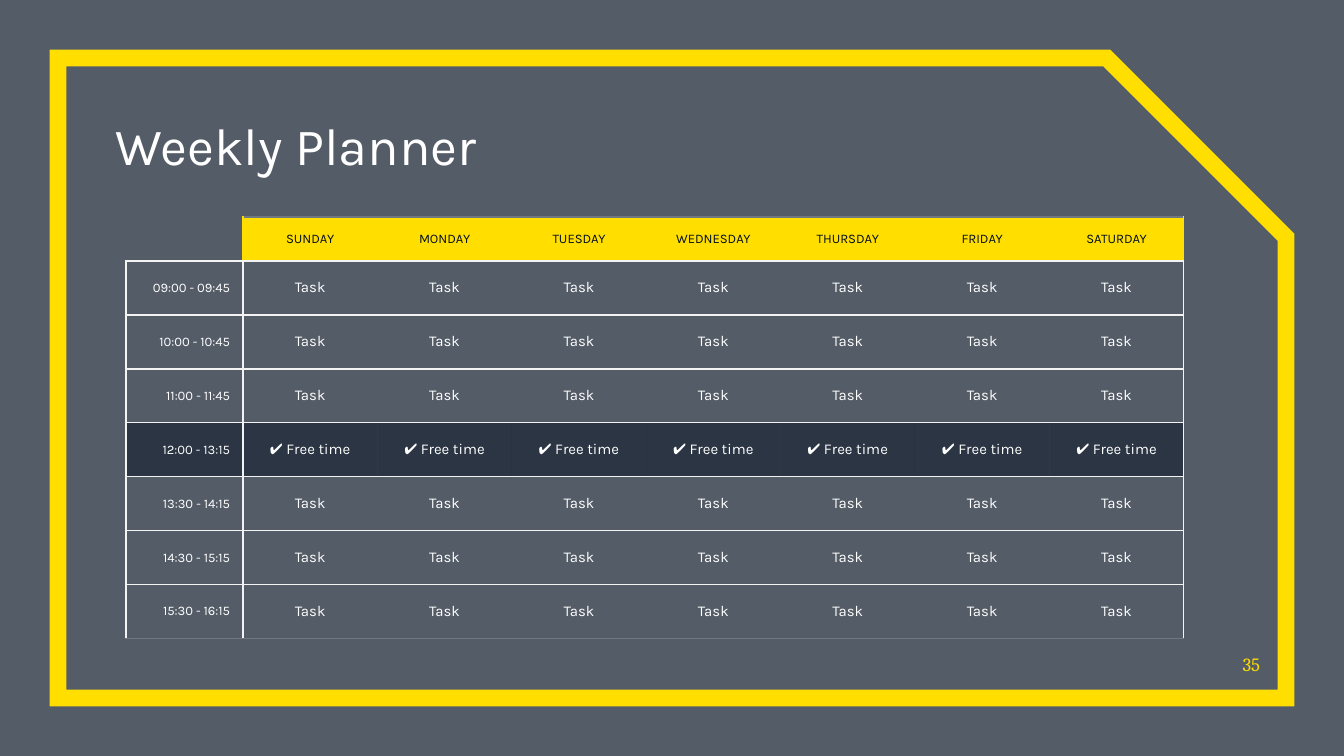
from dataclasses import dataclass

from lxml import etree
from pptx import Presentation
from pptx import util as u
from pptx.dml.color import RGBColor
from pptx.enum import shapes, text
from pptx.oxml import ns

# Content
TITLE = "Weekly Planner"
PAGE_NUMBER = "35"
DAYS = ["SUNDAY", "MONDAY", "TUESDAY", "WEDNESDAY", "THURSDAY", "FRIDAY", "SATURDAY"]
SCHEDULE = [
    ("09:00 - 09:45", "Task"),
    ("10:00 - 10:45", "Task"),
    ("11:00 - 11:45", "Task"),
    ("12:00 - 13:15", "✔ Free time"),
    ("13:30 - 14:15", "Task"),
    ("14:30 - 15:15", "Task"),
    ("15:30 - 16:15", "Task"),
]
BREAK_ROW = 4
NO_TABLE_STYLE = "{2D5ABB26-0587-4C30-8999-92F81FD0307C}"


@dataclass(frozen=True)
class Theme:
    navy: str = "040F20"
    yellow: str = "FFDE00"
    white: str = "FFFFFF"
    rule: str = "F3F3F3"
    edge: str = "717881"
    body_font: str = "Karla"
    number_font: str = "Cambria"
    title_size: int = 28
    number_size: int = 10
    task_size: int = 8
    label_size: int = 7


THEME = Theme()

# Layout, in px
PAGE_W, PAGE_H = 1344, 756
FRAME = (58, 58, 1228, 640)
TITLE_BOX = (116, 105, 988, 71)
NUMBER_BOX = (1224, 637, 36, 38)
TABLE_X, TABLE_Y, TABLE_W = 126, 217, 1058
TIME_W, HEADER_H, ROW_H = 117, 44, 54
CELL_MARGIN = 13


def px(length):
    return u.Emu(round(length * u.Inches(10) / PAGE_W))


def sub(parent, tag, **attributes):
    return etree.SubElement(parent, ns.qn(tag), attributes)


def fill_solid(target, color, alpha=None):
    target.fill.solid()
    target.fill.fore_color.rgb = RGBColor.from_string(color)
    if alpha is not None:
        for node in target._element.iter(ns.qn("a:srgbClr")) if hasattr(
                target, "_element") else target._tc.tcPr.findall(
                ns.qn("a:solidFill") + "/" + ns.qn("a:srgbClr")):
            sub(node, "a:alpha", val=str(alpha * 1000))


def write(frame, words, size, color, font=THEME.body_font, align=text.PP_ALIGN.LEFT):
    frame.text = words
    para = frame.paragraphs[0]
    para.alignment = align
    for span in para.runs:
        span.font.size = u.Pt(size)
        span.font.name = font
        span.font.color.rgb = RGBColor.from_string(color)
    return para


def add_text(page, place, *args, **kwargs):
    box = page.shapes.add_textbox(*map(px, place))
    frame = box.text_frame
    frame.word_wrap = True
    frame.vertical_anchor = text.MSO_ANCHOR.BOTTOM
    frame.margin_left = frame.margin_right = frame.margin_top = frame.margin_bottom = 0
    return write(frame, *args, **kwargs)


def add_text_shadow(span):
    properties = span.font._element
    effects = etree.Element(ns.qn("a:effectLst"))
    shadow = sub(effects, "a:outerShdw", blurRad="38100", dist="38100", dir="2700000")
    sub(sub(shadow, "a:srgbClr", val="000000"), "a:alpha", val="43000")
    properties.find(ns.qn("a:solidFill")).addnext(effects)


def set_borders(cell, borders):
    properties = cell._tc.get_or_add_tcPr()
    for side in "LRTB":
        line = sub(properties, f"a:ln{side}", w=str(u.Pt(0.75)))
        if side in borders:
            sub(sub(line, "a:solidFill"), "a:srgbClr", val=borders[side])
        else:
            sub(line, "a:noFill")


def cell_borders(row, col):
    last_row, last_col = len(SCHEDULE), len(DAYS)
    if row == 0:
        borders = {"B": THEME.rule}
        if col > 0:
            borders["T"] = THEME.edge
        if col == 1:
            borders["L"] = THEME.yellow
        if col in (0, last_col):
            borders["R"] = THEME.yellow
        return borders
    borders = {"T": THEME.rule, "B": THEME.edge if row == last_row else THEME.rule}
    if col <= 1:
        borders["L"] = THEME.rule
    if col in (0, last_col):
        borders["R"] = THEME.rule
    return borders


def add_planner(page):
    rows = [[""] + DAYS] + [[time] + [task] * len(DAYS) for time, task in SCHEDULE]
    height = HEADER_H + ROW_H * len(SCHEDULE)
    holder = page.shapes.add_table(len(rows), len(rows[0]),
                                   *map(px, (TABLE_X, TABLE_Y, TABLE_W, height)))
    table = holder.table
    table.first_row = table.horz_banding = False
    table._tbl.tblPr.find(ns.qn("a:tableStyleId")).text = NO_TABLE_STYLE

    day_w = (TABLE_W - TIME_W) / len(DAYS)
    for col, column in enumerate(table.columns):
        column.width = px(day_w if col else TIME_W)
    for row, line in enumerate(table.rows):
        line.height = px(ROW_H if row else HEADER_H)

    for row, words in enumerate(rows):
        for col, word in enumerate(words):
            cell = table.cell(row, col)
            cell.vertical_anchor = text.MSO_ANCHOR.MIDDLE
            cell.margin_left = cell.margin_right = px(CELL_MARGIN)
            cell.margin_top = cell.margin_bottom = px(CELL_MARGIN)
            set_borders(cell, cell_borders(row, col))
            if row == 0 and col > 0:
                fill_solid(cell, THEME.yellow)
            elif row == BREAK_ROW:
                fill_solid(cell, THEME.navy, 50)
            else:
                cell.fill.background()
            size = THEME.task_size if row and col else THEME.label_size
            para = write(cell.text_frame, word, size,
                         THEME.white if row else THEME.navy,
                         align=text.PP_ALIGN.CENTER if col else text.PP_ALIGN.RIGHT)
            if not word:
                sub(para._p, "a:endParaRPr", sz=str(size * 100))


def main():
    deck = Presentation()
    deck.slide_width, deck.slide_height = px(PAGE_W), px(PAGE_H)
    page = deck.slides.add_slide(deck.slide_layouts[6])

    # Tinted backdrop
    backdrop = page.shapes.add_shape(shapes.MSO_SHAPE.RECTANGLE, 0, 0, px(PAGE_W), px(PAGE_H))
    backdrop.shadow.inherit = False
    backdrop.line.fill.background()
    fill_solid(backdrop, THEME.navy, 68)

    # Yellow frame with a cut corner
    border = page.shapes.add_shape(shapes.MSO_SHAPE.SNIP_1_RECTANGLE, *map(px, FRAME))
    border.adjustments[0] = 0.28
    border.shadow.inherit = False
    border.fill.background()
    border.line.color.rgb = RGBColor.from_string(THEME.yellow)
    border.line.width = u.Pt(9)
    sub(border.line._get_or_add_ln(), "a:miter", lim="800000")

    # Title and page number
    heading = add_text(page, TITLE_BOX, TITLE, THEME.title_size, THEME.white)
    add_text_shadow(heading.runs[0])
    add_text(page, NUMBER_BOX, PAGE_NUMBER, THEME.number_size, THEME.yellow,
             font=THEME.number_font, align=text.PP_ALIGN.RIGHT)

    # Timetable
    add_planner(page)
    deck.save("out.pptx")


if __name__ == "__main__":
    main()
